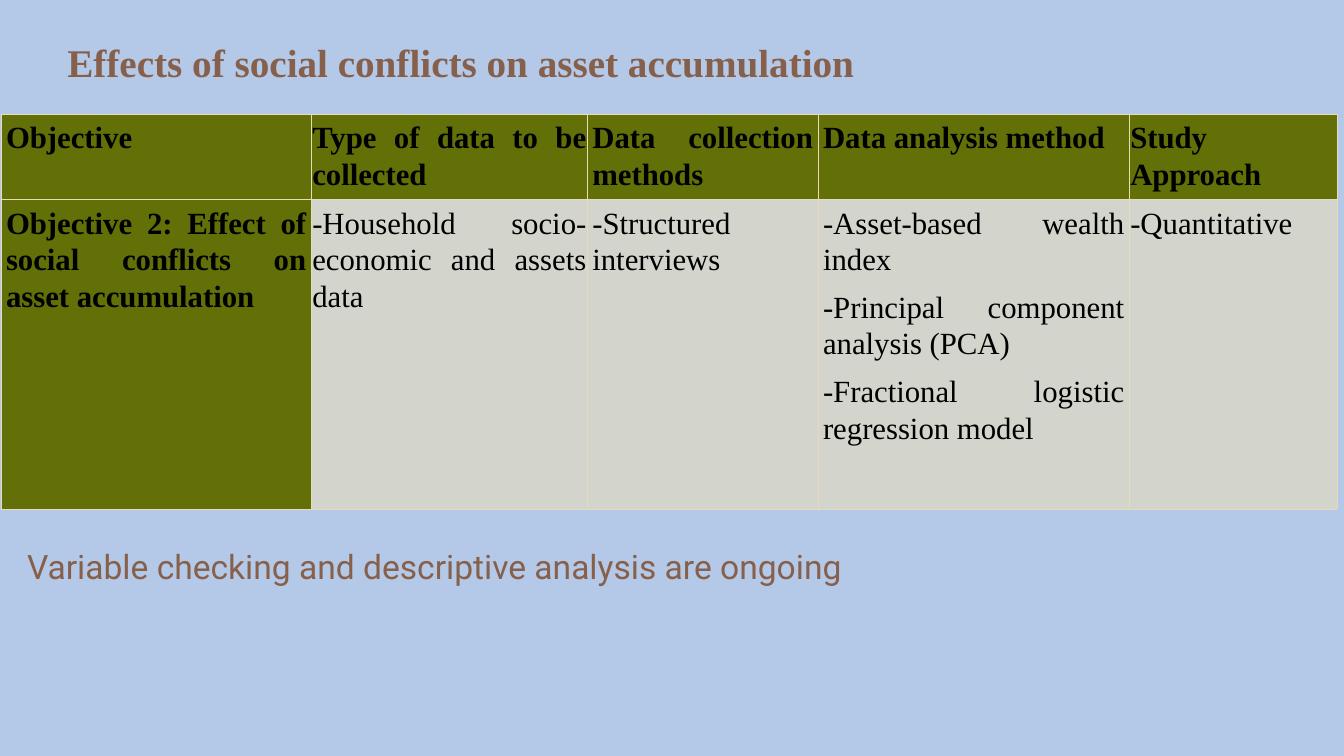
from lxml import etree
from pptx import Presentation
from pptx import util as u
from pptx.dml.color import RGBColor
from pptx.enum import text
from pptx.oxml.ns import qn

SIZE = (1334, 750)  # 100 px to the inch
HEX = {"back": "B4C9E8", "olive": "637007", "grey": "D3D5CC",
       "line": "E8DBB9", "brown": "87604C", "black": "000000"}
SERIF = "Times New Roman"

NOTES = [
    ("Effects of social conflicts on asset accumulation",
     (57, 33, 1255, 57), 28, SERIF, True),
    ("Variable checking and descriptive analysis are ongoing",
     (17, 537, 1264, 50), 24, "Roboto", False),
]
ROWS = [
    [["Objective"], ["Type of data to be collected"],
     ["Data collection methods"], ["Data analysis method"],
     ["Study Approach"]],
    [["Objective 2: Effect of social conflicts on asset accumulation"],
     ["-Household socio-economic and assets data"],
     ["-Structured interviews"],
     ["-Asset-based wealth index", "-Principal component analysis (PCA)",
      "-Fractional logistic regression model"],
     ["-Quantitative"]],
]
WIDTHS = [308, 274, 229, 309, 206]
HEIGHTS = [85, 307]
SIDES = [5, 1, 5, 5, 1]  # left and right cell margins, by column
LEFT, TOP = 1, 113
THIN, THICK = 0.45, 1.47


def px(n):
    return u.Emu(n * 9144)


def color(name):
    return RGBColor.from_string(HEX[name])


def add_run(para, words, size, face, tone, bold):
    run = para.add_run()
    run.text = words
    font = run.font
    font.size, font.name, font.bold = u.Pt(size), face, bold
    font.color.rgb = color(tone)


def add_edges(cell, top, bottom):
    """Draw the four borders; they must come before the cell fill."""
    props = cell._tc.get_or_add_tcPr()
    edges = [("L", THIN), ("R", THIN), ("T", top), ("B", bottom)]
    for i, (side, width) in enumerate(edges):
        line = etree.Element(qn("a:ln" + side), w=str(int(u.Pt(width))))
        fill = etree.SubElement(line, qn("a:solidFill"))
        etree.SubElement(fill, qn("a:srgbClr"), val=HEX["line"])
        props.insert(i, line)


def fill_cell(cell, r, c):
    head = r == 0 or c == 0
    cell.fill.solid()
    cell.fill.fore_color.rgb = color("olive" if head else "grey")
    cell.margin_left = cell.margin_right = px(SIDES[c])
    cell.margin_top = cell.margin_bottom = px(5)
    frame = cell.text_frame
    for i, words in enumerate(ROWS[r][c]):
        para = frame.add_paragraph() if i else frame.paragraphs[0]
        para.alignment = text.PP_ALIGN.JUSTIFY
        para.line_spacing = 1.07
        para.space_after = u.Pt(8)
        add_run(para, words, 22, SERIF, "black", head)
    add_edges(cell, THICK if r else THIN, THIN if r else THICK)


def add_grid(slide):
    box = (LEFT, TOP, sum(WIDTHS), sum(HEIGHTS))
    grid = slide.shapes.add_table(len(ROWS), len(WIDTHS), *map(px, box)).table
    for col, width in zip(grid.columns, WIDTHS):
        col.width = px(width)
    for r, height in enumerate(HEIGHTS):
        grid.rows[r].height = px(height)
        for c in range(len(WIDTHS)):
            fill_cell(grid.cell(r, c), r, c)


def add_note(slide, words, box, size, face, bold):
    frame = slide.shapes.add_textbox(*map(px, box)).text_frame
    frame.word_wrap = True
    frame.auto_size = text.MSO_AUTO_SIZE.SHAPE_TO_FIT_TEXT
    add_run(frame.paragraphs[0], words, size, face, "brown", bold)


def main():
    deck = Presentation()
    deck.slide_width, deck.slide_height = map(px, SIZE)
    slide = deck.slides.add_slide(deck.slide_layouts[6])
    slide.background.fill.solid()
    slide.background.fill.fore_color.rgb = color("back")
    add_grid(slide)
    for note in NOTES:
        add_note(slide, *note)
    deck.save("out.pptx")


if __name__ == "__main__":
    main()
